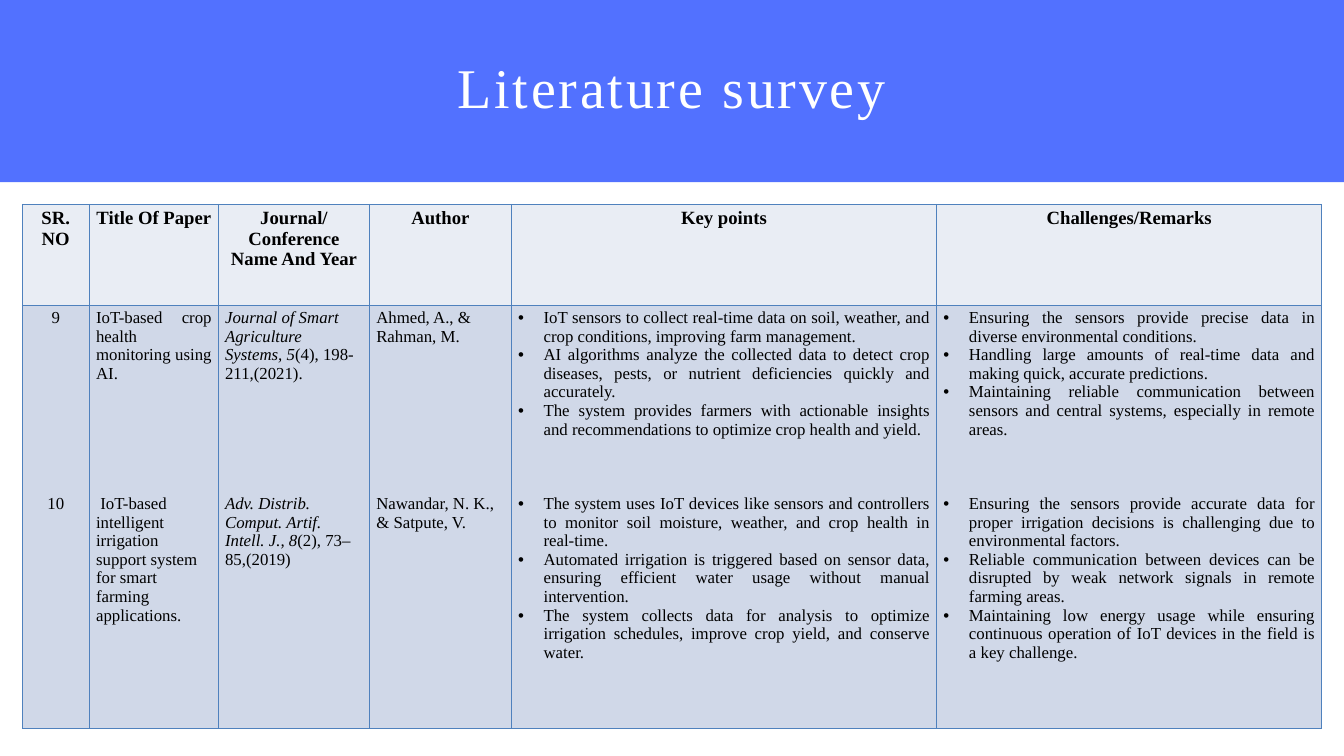
from dataclasses import dataclass

from lxml import etree
from pptx import Presentation
from pptx.dml.color import RGBColor
from pptx.enum.shapes import MSO_SHAPE
from pptx.enum.text import PP_ALIGN
from pptx.oxml.ns import qn
from pptx.util import Inches, Pt

CENTER, LEFT, JUSTIFY = PP_ALIGN.CENTER, PP_ALIGN.LEFT, PP_ALIGN.JUSTIFY
FONT = "Times New Roman"
BLUE, WHITE, BLACK = "5271FF", "FFFFFF", "000000"
HEADER_FILL, BODY_FILL, BORDER = "E9EDF4", "D0D8E8", "4F81BD"
HEADER_SIZE, BODY_SIZE = 20, 18
LINE_HEIGHT = 19.93  # points, one line of body text
SECOND_PAPER_LINE = 10  # lines from the top of the body row


@dataclass
class Column:
    heading: list[str]
    width: float
    first_paper: list[str]
    second_paper: list[str]
    lines_above: int  # lines taken by the first paper
    aligns: tuple = (LEFT, LEFT)
    bulleted: bool = False
    italic_lead: bool = False  # journal name before "(" is italic


COLUMNS = [
    Column(["SR. NO"], 1, ["9"], ["10"], 1, (CENTER, CENTER)),
    Column(
        ["Title Of Paper"], 1.92,
        ["IoT-based crop health monitoring using AI."],
        [" IoT-based intelligent irrigation support system for smart farming applications."],
        4, (JUSTIFY, LEFT)),
    Column(
        ["Journal/", "Conference Name And Year"], 2.25,
        ["Journal of Smart Agriculture Systems, 5(4), 198-211,(2021)."],
        ["Adv. Distrib. Comput. Artif. Intell. J., 8(2), 73–85,(2019)"],
        4, italic_lead=True),
    Column(["Author"], 2.11, ["Ahmed, A., & Rahman, M."],
           ["Nawandar, N. K., & Satpute, V."], 2),
    Column(
        ["Key points"], 6.33,
        ["IoT sensors to collect real-time data on soil, weather, and crop conditions, "
         "improving farm management.",
         "AI algorithms analyze the collected data to detect crop diseases, pests, or "
         "nutrient deficiencies quickly and accurately.",
         "The system provides farmers with actionable insights and recommendations to "
         "optimize crop health and yield."],
        ["The system uses IoT devices like sensors and controllers to monitor soil "
         "moisture, weather, and crop health in real-time.",
         "Automated irrigation is triggered based on sensor data, ensuring efficient "
         "water usage without manual intervention.",
         "The system collects data for analysis to optimize irrigation schedules, "
         "improve crop yield, and conserve water."],
        7, (JUSTIFY, JUSTIFY), bulleted=True),
    Column(
        ["Challenges/Remarks"], 5.73,
        ["Ensuring the sensors provide precise data in diverse environmental conditions.",
         "Handling large amounts of real-time data and making quick, accurate predictions.",
         "Maintaining reliable communication between sensors and central systems, "
         "especially in remote areas."],
        ["Ensuring the sensors provide accurate data for proper irrigation decisions is "
         "challenging due to environmental factors.",
         "Reliable communication between devices can be disrupted by weak network "
         "signals in remote farming areas.",
         "Maintaining low energy usage while ensuring continuous operation of IoT "
         "devices in the field is a key challenge."],
        7, (JUSTIFY, JUSTIFY), bulleted=True),
]


def paint(color_format, hex_color: str) -> None:
    color_format.rgb = RGBColor.from_string(hex_color)


def fill_solid(target, hex_color: str) -> None:
    target.fill.solid()
    paint(target.fill.fore_color, hex_color)


def add_span(para, text: str, size: float, color: str = BLACK,
             bold: bool = False, italic: bool = False):
    span = para.add_run()
    span.text = text
    font = span.font
    font.name, font.size, font.bold, font.italic = FONT, Pt(size), bold, italic
    paint(font.color, color)
    return span


def next_para(frame):
    """Return the empty first paragraph, or a new one after the last."""
    first = frame.paragraphs[0]
    return frame.add_paragraph() if first.runs else first


def add_bullet(para) -> None:
    properties = para._p.get_or_add_pPr()
    properties.set("marL", str(Inches(0.38)))
    properties.set("indent", str(-Inches(0.38)))
    etree.SubElement(properties, qn("a:buFont")).set("typeface", "Arial")
    etree.SubElement(properties, qn("a:buChar")).set("char", "•")


def style_cell(cell, hex_color: str) -> None:
    """Add four thin borders, then the fill."""
    properties = cell._tc.get_or_add_tcPr()
    for side in ("lnL", "lnR", "lnT", "lnB"):
        line = etree.SubElement(properties, qn(f"a:{side}"), w=str(Pt(1)))
        solid = etree.SubElement(line, qn("a:solidFill"))
        etree.SubElement(solid, qn("a:srgbClr")).set("val", BORDER)
    fill_solid(cell, hex_color)


def write_paper(frame, column: Column, texts: list[str], align, gap: float = 0) -> None:
    """Write one paper's entry, with a gap in points above it."""
    for index, text in enumerate(texts):
        para = next_para(frame)
        para.alignment = align
        if index == 0 and gap:
            para.space_before = Pt(gap)
        if column.bulleted:
            add_bullet(para)
        if column.italic_lead:
            lead, mark, rest = text.partition("(")
            add_span(para, lead, BODY_SIZE, italic=True)
            text = mark + rest
        add_span(para, text, BODY_SIZE)


def add_title_band(page) -> None:
    band = page.shapes.add_shape(MSO_SHAPE.RECTANGLE, 0, 0, Inches(20), Inches(2.71))
    band.shadow.inherit = False
    fill_solid(band, BLUE)
    band.line.fill.background()

    box = page.shapes.add_textbox(Inches(5.21), Inches(0.91), Inches(9.58), Inches(0.9))
    frame = box.text_frame
    frame.word_wrap = True
    frame.margin_left = frame.margin_right = frame.margin_top = frame.margin_bottom = 0
    para = frame.paragraphs[0]
    para.alignment = CENTER
    para.line_spacing = Pt(63)
    span = add_span(para, "Literature survey", 60, WHITE)
    span.font._element.set("spc", "300")


def add_survey_table(page) -> None:
    table = page.shapes.add_table(2, len(COLUMNS), Inches(0.33), Inches(3.04),
                                  Inches(19.33), Inches(7.8)).table
    table.first_row = table.horz_banding = False
    table.rows[0].height, table.rows[1].height = Inches(1.5), Inches(6.3)
    for index, column in enumerate(COLUMNS):
        table.columns[index].width = Inches(column.width)
        header, body = table.cell(0, index), table.cell(1, index)
        style_cell(header, HEADER_FILL)
        style_cell(body, BODY_FILL)
        for text in column.heading:
            para = next_para(header.text_frame)
            para.alignment = CENTER
            add_span(para, text, HEADER_SIZE, bold=True)
        gap = (SECOND_PAPER_LINE - column.lines_above) * LINE_HEIGHT
        write_paper(body.text_frame, column, column.first_paper, column.aligns[0])
        write_paper(body.text_frame, column, column.second_paper, column.aligns[1], gap)


def main() -> None:
    deck = Presentation()
    deck.slide_width, deck.slide_height = Inches(20), Inches(11.25)
    page = deck.slides.add_slide(deck.slide_layouts[6])
    add_title_band(page)
    add_survey_table(page)
    deck.save("out.pptx")


if __name__ == "__main__":
    main()
